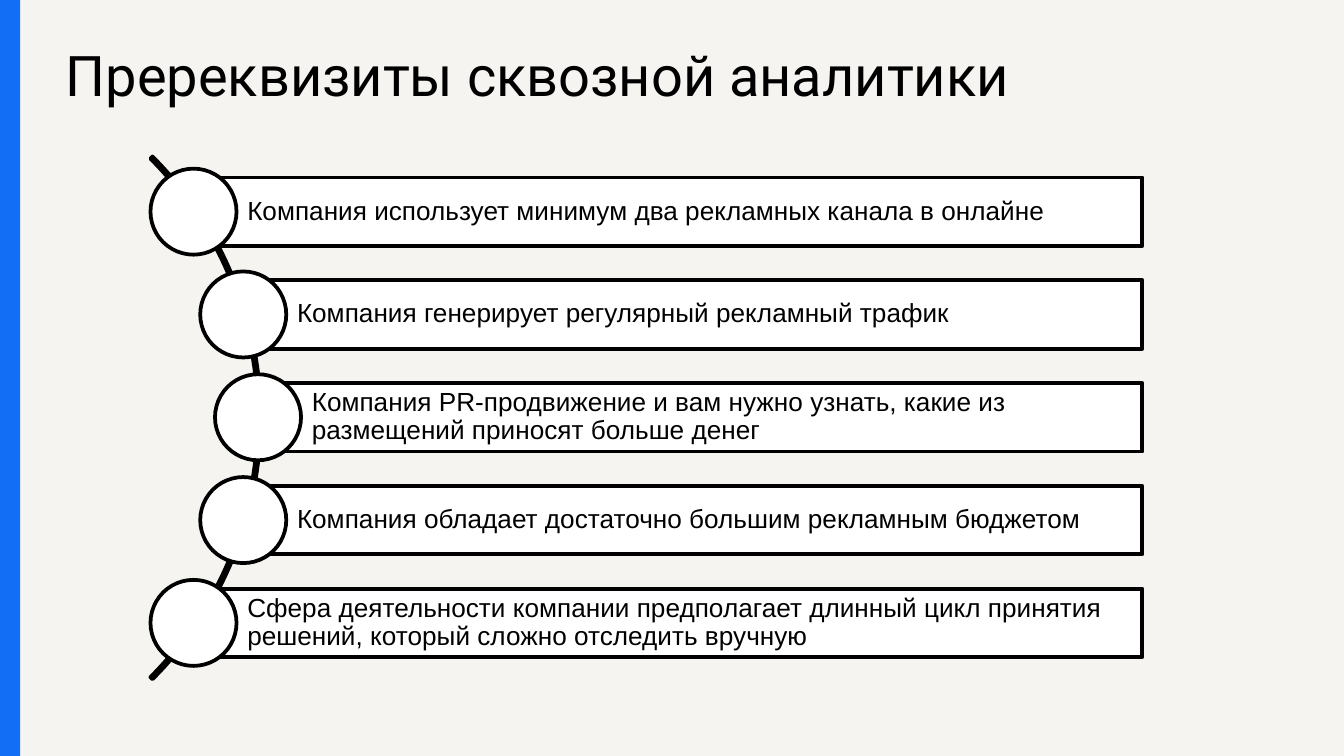
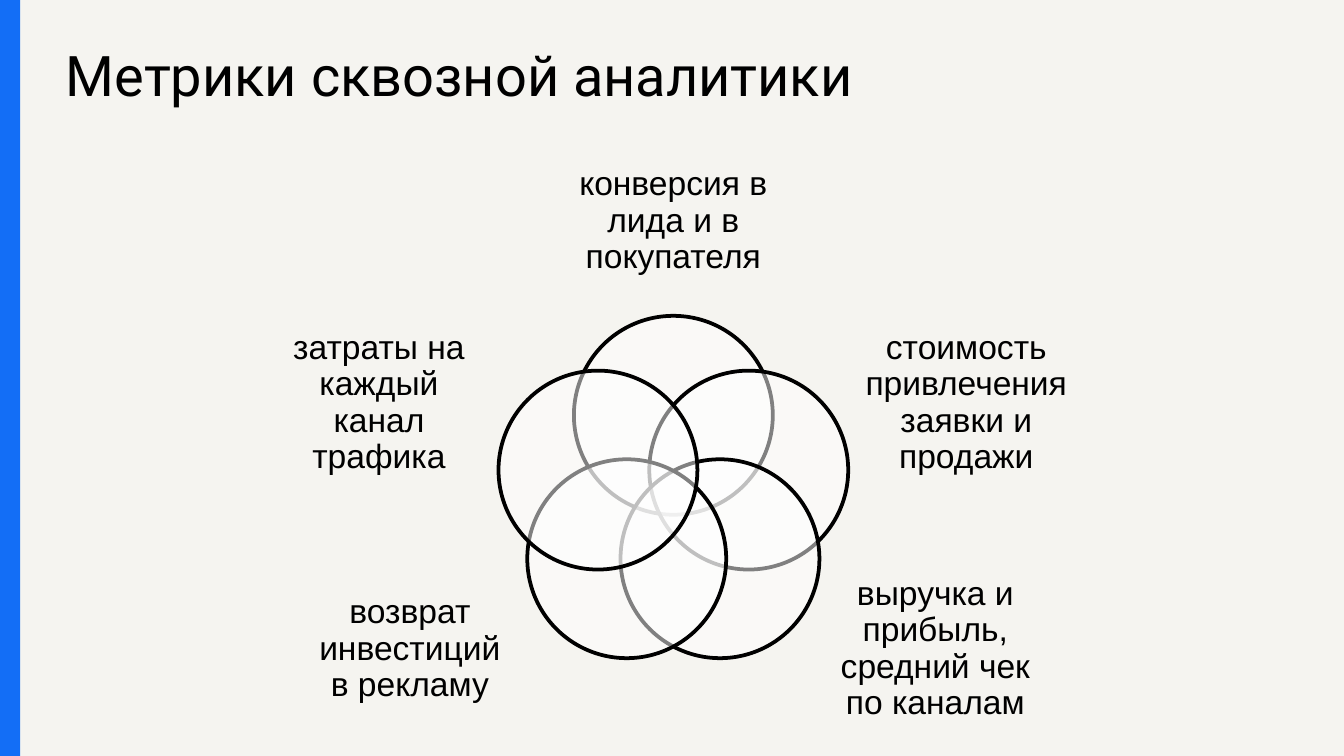
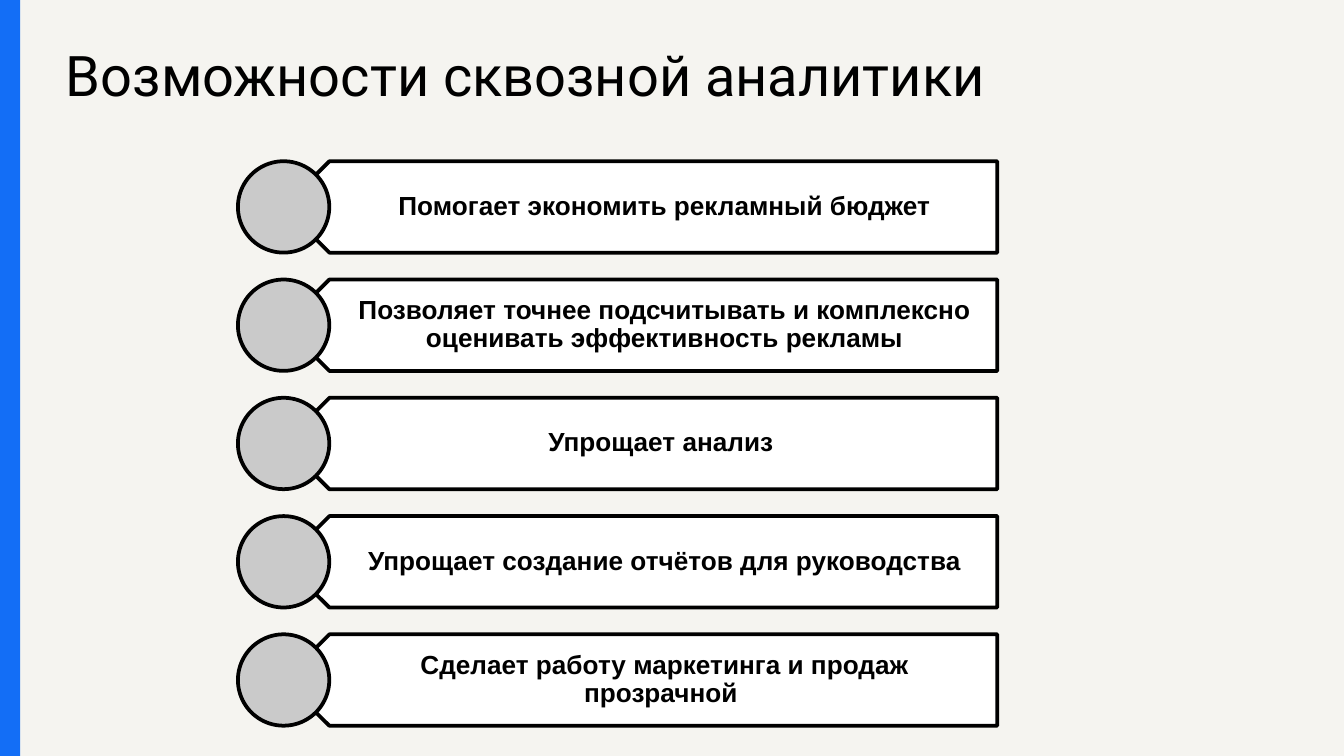
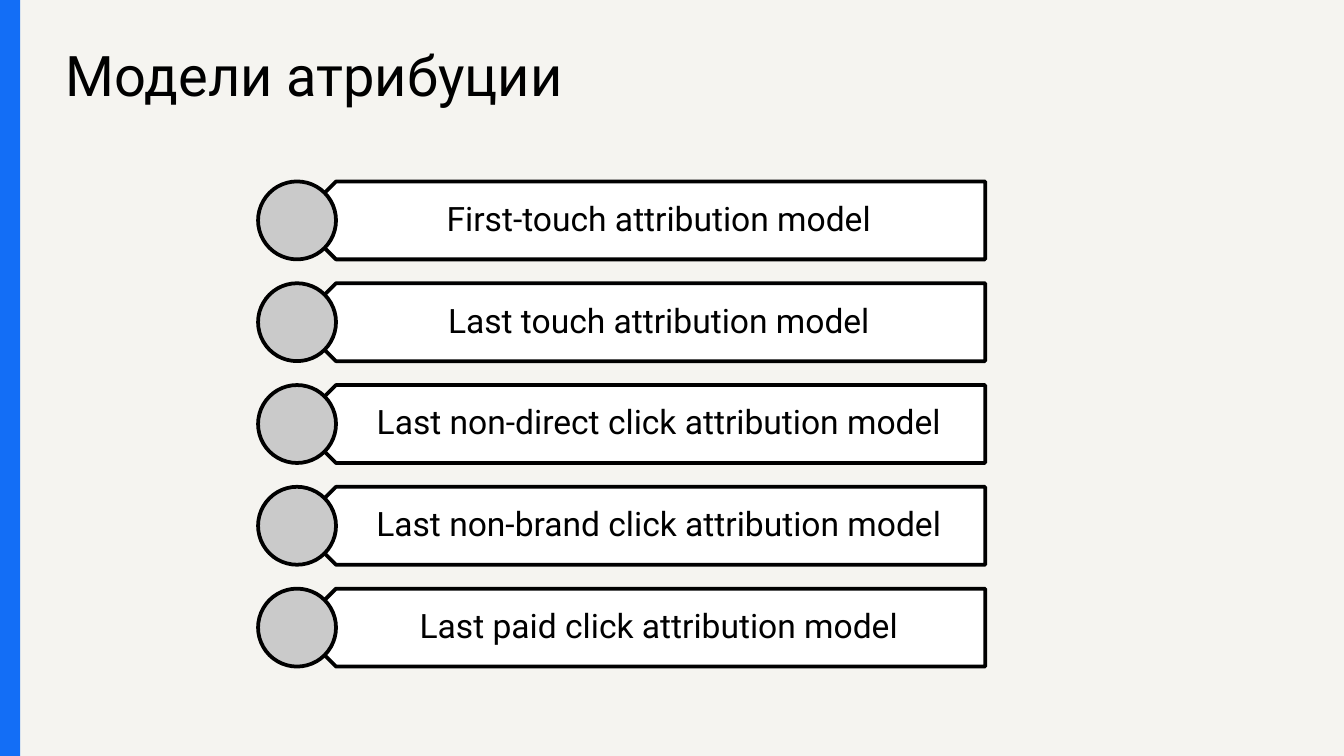
from dataclasses import dataclass
from math import cos, radians, sin
from typing import NamedTuple

from lxml.etree import SubElement
from pptx import Presentation
from pptx.dml.color import RGBColor
from pptx.enum.shapes import MSO_SHAPE
from pptx.enum.text import MSO_ANCHOR, MSO_AUTO_SIZE, PP_ALIGN
from pptx.oxml.ns import qn
from pptx.shapes.autoshape import Shape
from pptx.shapes.shapetree import GroupShapes
from pptx.slide import Slide
from pptx.text.text import TextFrame
from pptx.util import Inches, Pt

PAPER = "F5F4F0"
BLUE = "136EF6"
BLACK = "000000"
WHITE = "FFFFFF"
GREY = "CACACA"
TITLE_ONLY = 5


class Box(NamedTuple):
    left: float
    top: float
    width: float
    height: float


class Insets(NamedTuple):
    left: float
    top: float
    right: float
    bottom: float


@dataclass(frozen=True)
class TextStyle:
    size: int
    font: str = "Arial"
    bold: bool = False
    align: PP_ALIGN = PP_ALIGN.CENTER
    anchor: MSO_ANCHOR = MSO_ANCHOR.MIDDLE
    spacing: float = 0.9
    insets: Insets = Insets(0, 0, 0, 0)


@dataclass(frozen=True)
class Prerequisite:
    axis: float
    wording: str


@dataclass(frozen=True)
class Metric:
    wording: str
    area: Box


@dataclass(frozen=True)
class PlateList:
    left: float
    first_top: float
    last_top: float
    right: float
    size: float
    style: TextStyle
    wordings: tuple[str, ...]


TITLE_STYLE = TextStyle(30, "Roboto", align=PP_ALIGN.LEFT, anchor=MSO_ANCHOR.TOP,
                        spacing=1, insets=Insets(0.1, 0.1, 0.1, 0.1))
PREREQUISITE_STYLE = TextStyle(14, align=PP_ALIGN.LEFT,
                               insets=Insets(0.4, 0.04, 0.04, 0.04))
METRIC_STYLE = TextStyle(18)

PREREQUISITES = (
    Prerequisite(1.44, "Компания использует минимум два рекламных канала в онлайне"),
    Prerequisite(1.81, "Компания генерирует регулярный рекламный трафик"),
    Prerequisite(1.92, "Компания PR-продвижение и вам нужно узнать, какие из "
                       "размещений приносят больше денег"),
    Prerequisite(1.81, "Компания обладает достаточно большим рекламным бюджетом"),
    Prerequisite(1.44, "Сфера деятельности компании предполагает длинный цикл принятия "
                       "решений, который сложно отследить вручную"),
)

METRICS = (
    Metric("конверсия в лида и в покупателя", Box(4.15, 1.15, 1.72, 0.99)),
    Metric("стоимость привлечения заявки и продажи", Box(6.42, 2.46, 1.54, 1.08)),
    Metric("выручка и прибыль, средний чек по каналам", Box(6.19, 4.29, 1.54, 1.08)),
    Metric("возврат инвестиций в рекламу", Box(2.28, 4.29, 1.54, 1.08)),
    Metric("затраты на каждый канал трафика", Box(2.05, 2.46, 1.54, 1.08)),
)

BENEFITS = PlateList(
    1.77, 1.2, 4.72, 7.42, 0.68,
    TextStyle(14, bold=True, insets=Insets(0.3, 0.06, 0.11, 0.06)),
    (
        "Помогает экономить рекламный бюджет",
        "Позволяет точнее подсчитывать и комплексно оценивать эффективность рекламы",
        "Упрощает анализ ",
        "Упрощает создание отчётов для руководства",
        "Сделает работу маркетинга и продаж прозрачной ",
    ),
)

MODELS = PlateList(
    1.92, 1.35, 4.38, 7.33, 0.58,
    TextStyle(18, "Roboto", insets=Insets(0.26, 0.07, 0.14, 0.07)),
    (
        "First-touch attribution model",
        "Last touch attribution model",
        "Last non-direct click attribution model",
        "Last non-brand click attribution model",
        "Last paid click attribution model",
    ),
)


def rgb(value: str) -> RGBColor:
    return RGBColor.from_string(value)


def spread(first: float, last: float, count: int) -> list[float]:
    return [first + (last - first) * i / (count - 1) for i in range(count)]


def lengths(box: Box) -> list[Inches]:
    return [Inches(value) for value in box]


def write(frame: TextFrame, wording: str, style: TextStyle) -> None:
    frame.text = wording
    frame.word_wrap = True
    frame.auto_size = MSO_AUTO_SIZE.NONE
    frame.vertical_anchor = style.anchor
    frame.margin_left, frame.margin_top, frame.margin_right, frame.margin_bottom = (
        Inches(value) for value in style.insets)
    paragraph = frame.paragraphs[0]
    paragraph.alignment = style.align
    paragraph.line_spacing = style.spacing
    font = paragraph.runs[0].font
    font.name, font.size, font.bold = style.font, Pt(style.size), style.bold
    font.color.rgb = rgb(BLACK)


def draw(shapes: GroupShapes, kind: MSO_SHAPE, box: Box, fill: str | None = WHITE,
         outlined: bool = True) -> Shape:
    shape = shapes.add_shape(kind, *lengths(box))
    shape.shadow.inherit = False
    if fill:
        shape.fill.solid()
        shape.fill.fore_color.rgb = rgb(fill)
    else:
        shape.fill.background()
    if outlined:
        shape.line.color.rgb = rgb(BLACK)
        shape.line.width = Pt(2)
    else:
        shape.line.fill.background()
    return shape


def draw_circle(shapes: GroupShapes, x: float, y: float, size: float,
                fill: str = WHITE) -> Shape:
    return draw(shapes, MSO_SHAPE.OVAL, Box(x - size / 2, y - size / 2, size, size), fill)


def draw_label(shapes: GroupShapes, box: Box, wording: str, style: TextStyle) -> None:
    write(shapes.add_textbox(*lengths(box)).text_frame, wording, style)


def make_translucent(shape: Shape, percent: int) -> None:
    color = shape.fill._xPr.find(qn("a:solidFill"))[0]
    SubElement(color, qn("a:alpha"), val=str(percent * 1000))


def start_slide(deck: Presentation, heading: str, width: float) -> Slide:
    slide = deck.slides.add_slide(deck.slide_layouts[TITLE_ONLY])
    title = slide.shapes.title
    title.left, title.top, title.width, title.height = lengths(Box(0.39, 0.2, width, 1.02))
    write(title.text_frame, heading, TITLE_STYLE)
    draw(slide.shapes, MSO_SHAPE.RECTANGLE, Box(0, -0.01, 0.15, 5.65), BLUE, outlined=False)
    return slide


def draw_prerequisites(slide: Slide) -> None:
    shapes = slide.shapes.add_group_shape().shapes
    arc = draw(shapes, MSO_SHAPE.BLOCK_ARC, Box(-3.56, 0.36, 5.5, 5.5), fill=None)
    for i, value in enumerate((189, 27, 0.004)):
        arc.adjustments[i] = value
    right, height = 8.5, 0.51
    for item, top in zip(PREREQUISITES, spread(1.32, 4.38, len(PREREQUISITES))):
        bar = draw(shapes, MSO_SHAPE.RECTANGLE, Box(item.axis, top, right - item.axis, height))
        write(bar.text_frame, item.wording, PREREQUISITE_STYLE)
        draw_circle(shapes, item.axis, top + height / 2, 0.64)


def draw_metrics(slide: Slide) -> None:
    shapes = slide.shapes.add_group_shape().shapes
    center_x, center_y, radius = 5.01, 3.68, 0.59
    for i, metric in enumerate(METRICS):
        angle = radians(360 / len(METRICS) * i)
        circle = draw_circle(shapes, center_x + radius * sin(angle),
                             center_y - radius * cos(angle), 1.48)
        make_translucent(circle, 50)
        draw_label(shapes, metric.area, metric.wording, METRIC_STYLE)


def draw_plates(slide: Slide, plates: PlateList) -> None:
    shapes = slide.shapes.add_group_shape().shapes
    size = plates.size
    axis = plates.left + size / 2
    text_left = axis + size / 4
    tops = spread(plates.first_top, plates.last_top, len(plates.wordings))
    for wording, top in zip(plates.wordings, tops):
        plate = draw(shapes, MSO_SHAPE.PENTAGON, Box(axis, top, plates.right - axis, size))
        plate.rotation = 180
        draw_label(shapes, Box(text_left, top, plates.right - text_left, size),
                   wording, plates.style)
        draw_circle(shapes, axis, top + size / 2, size, GREY)


def main() -> None:
    deck = Presentation()
    deck.slide_width = Inches(10)
    deck.slide_height = deck.slide_width * 9 // 16
    background = deck.slide_master.background.fill
    background.solid()
    background.fore_color.rgb = rgb(PAPER)

    draw_prerequisites(start_slide(deck, "Пререквизиты сквозной аналитики", 9.11))
    draw_metrics(start_slide(deck, "Метрики сквозной аналитики", 6.62))
    draw_plates(start_slide(deck, "Возможности сквозной аналитики", 7.7), BENEFITS)
    draw_plates(start_slide(deck, "Модели атрибуции", 7.4), MODELS)
    deck.save("out.pptx")


if __name__ == "__main__":
    main()
